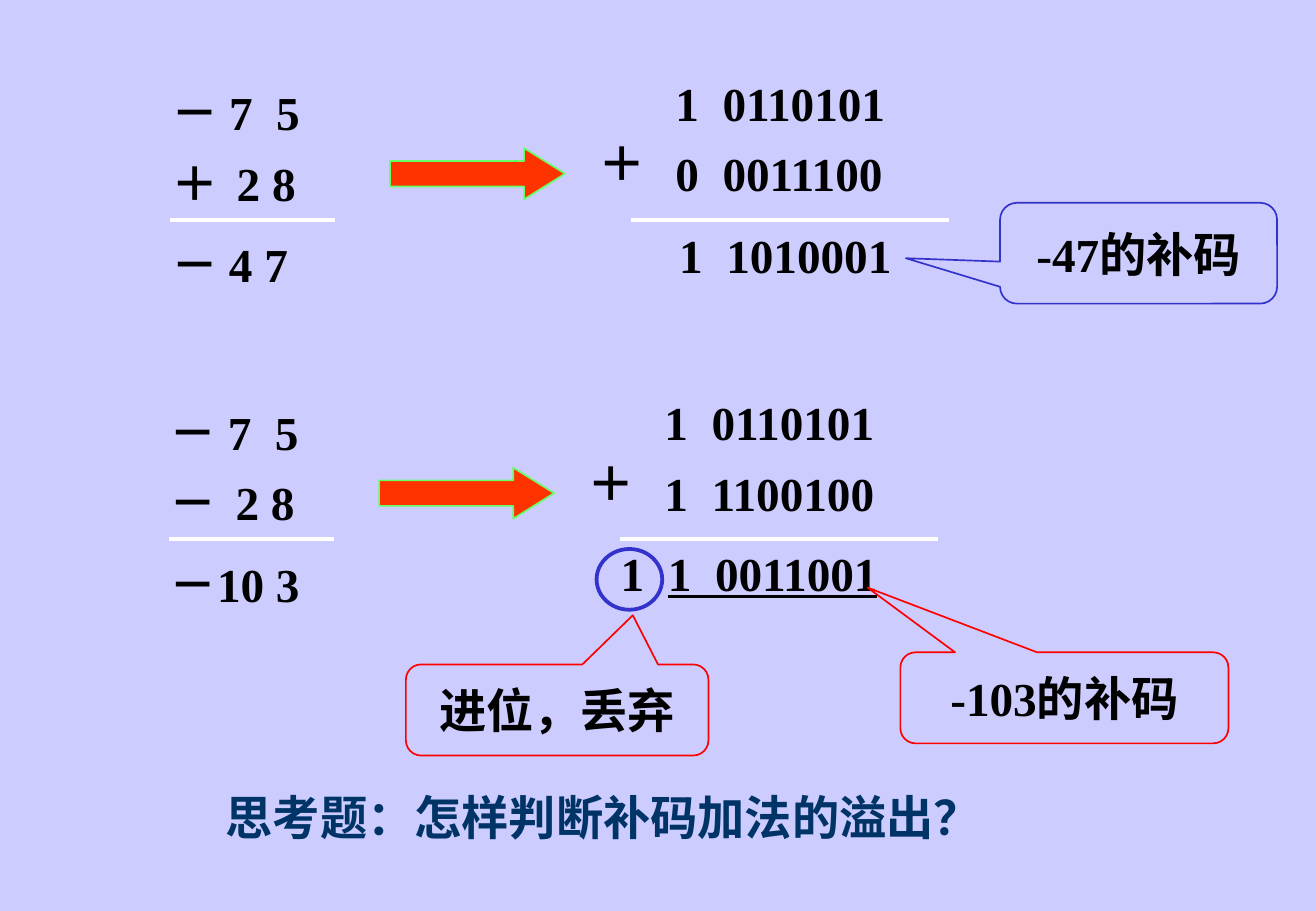
from pptx import Presentation
from pptx.dml.color import RGBColor
from pptx.enum.shapes import MSO_CONNECTOR, MSO_SHAPE
from pptx.enum.text import MSO_ANCHOR, MSO_AUTO_SIZE, PP_ALIGN
from pptx.oxml.ns import qn
from pptx.util import Inches, Pt

STRAIGHT = MSO_CONNECTOR.STRAIGHT
RIGHT_ARROW = MSO_SHAPE.RIGHT_ARROW
OVAL = MSO_SHAPE.OVAL
CALLOUT = MSO_SHAPE.ROUNDED_RECTANGULAR_CALLOUT
MIDDLE = MSO_ANCHOR.MIDDLE
CENTER = PP_ALIGN.CENTER
FIT_TEXT = MSO_AUTO_SIZE.SHAPE_TO_FIT_TEXT

FONT = "Times New Roman"
SIZE = 28
LAVENDER, WHITE, BLACK = "CCCCFF", "FFFFFF", "000000"
BLUE, RED, NAVY = "3333CC", "FF0000", "003366"
ORANGE, GREEN = "FF3300", "66FF66"
ROW_HEIGHT = 0.57


def rgb(color):
    return RGBColor.from_string(color)


def add_run(paragraph, text, color=BLACK, underline=None):
    run = paragraph.add_run()
    run.text = text
    run.font.name = FONT
    run.font.size = Pt(SIZE)
    run.font.bold = True
    run.font.underline = underline
    run.font.color.rgb = rgb(color)


def add_label(slide, left, top, width, text, color=BLACK, wrap=True, underlined=""):
    label = slide.shapes.add_textbox(
        Inches(left), Inches(top), Inches(width), Inches(ROW_HEIGHT))
    frame = label.text_frame
    frame.word_wrap = wrap
    frame.auto_size = FIT_TEXT
    add_run(frame.paragraphs[0], text, color)
    if underlined:
        add_run(frame.paragraphs[0], underlined, color, True)


def add_rule(slide, left, top, width):
    rule = slide.shapes.add_connector(
        STRAIGHT, Inches(left), Inches(top), Inches(left + width), Inches(top))
    rule.line.color.rgb = rgb(WHITE)
    rule.line.width = Pt(2.25)
    properties = rule._element.spPr
    properties.append(properties.makeelement(qn("a:effectLst"), {}))


def add_outline(slide, kind, box, line, weight=1, fill=None, adjustments=()):
    shape = slide.shapes.add_shape(kind, *(Inches(length) for length in box))
    shape.shadow.inherit = False
    if fill:
        shape.fill.solid()
        shape.fill.fore_color.rgb = rgb(fill)
    else:
        shape.fill.background()
    shape.line.color.rgb = rgb(line)
    shape.line.width = Pt(weight)
    for index, value in enumerate(adjustments):
        shape.adjustments[index] = value
    return shape


def add_callout(slide, box, pointer, line, text):
    callout = add_outline(slide, CALLOUT, box, line, adjustments=(*pointer, 0.167))
    frame = callout.text_frame
    frame.word_wrap = True
    frame.vertical_anchor = MIDDLE
    frame.paragraphs[0].alignment = CENTER
    add_run(frame.paragraphs[0], text)


def add_calculation(slide, top, decimal_left, binary_left, sign, result, addends):
    """Decimal sum, arrow and binary addends; top is that of the first decimal row."""
    # Decimal sum
    add_rule(slide, decimal_left + 0.09, top + 1.17, 1.36)
    add_label(slide, decimal_left, top, 1.72, "－ 7  5")
    add_label(slide, decimal_left + 0.54, top + 0.58, 0.9, "2 8")
    add_label(slide, decimal_left, top + 0.58, 0.63, sign)
    add_label(slide, decimal_left, top + 1.25, 1.44, result)

    # Arrow to the binary sum
    add_outline(slide, RIGHT_ARROW, (binary_left - 1.89, top + 0.58, 1.44, 0.42),
                GREEN, fill=ORANGE, adjustments=(0.5, 0.8))

    # Binary addends
    for row, (addend, width) in enumerate(zip(addends, (2.8, 2.26))):
        add_label(slide, binary_left + 0.36, top - 0.08 + row * 0.58, width, addend)
    add_label(slide, binary_left - 0.27, top + 0.42, 0.6, "＋", wrap=False)
    add_rule(slide, binary_left + 0.09, top + 1.17, 2.62)


def main():
    presentation = Presentation()
    presentation.slide_width = Inches(10.83)
    presentation.slide_height = Inches(7.5)
    slide = presentation.slides.add_slide(presentation.slide_layouts[6])
    slide.background.fill.solid()
    slide.background.fill.fore_color.rgb = rgb(LAVENDER)

    # -75 + 28
    add_calculation(slide, 0.64, 1.31, 5.1, "＋", "－ 4 7",
                    ("1  0110101", "0  0011100"))
    add_label(slide, 5.49, 1.81, 2.68, "1  1010001")

    # -75 - 28
    add_calculation(slide, 3.27, 1.3, 5.01, "－", "－10 3",
                    ("1  0110101", "1  1100100"))
    add_label(slide, 5.01, 4.43, 3.07, "1  ", underlined="1  0011001")

    # Carry mark and explanations
    add_outline(slide, OVAL, (4.91, 4.52, 0.54, 0.5), BLUE, weight=2.25)
    add_callout(slide, (8.23, 1.67, 2.28, 0.83), (-0.84, 0.05), BLUE, "-47的补码")
    add_callout(slide, (3.34, 5.47, 2.49, 0.75), (0.25, -1.04), RED, "进位，丢弃")
    add_callout(slide, (7.41, 5.37, 2.7, 0.75), (-0.6, -1.21), RED, "-103的补码")

    # Question
    add_label(slide, 1.76, 6.44, 6.51, "思考题：怎样判断补码加法的溢出？", NAVY, wrap=False)

    presentation.save("out.pptx")


if __name__ == "__main__":
    main()
